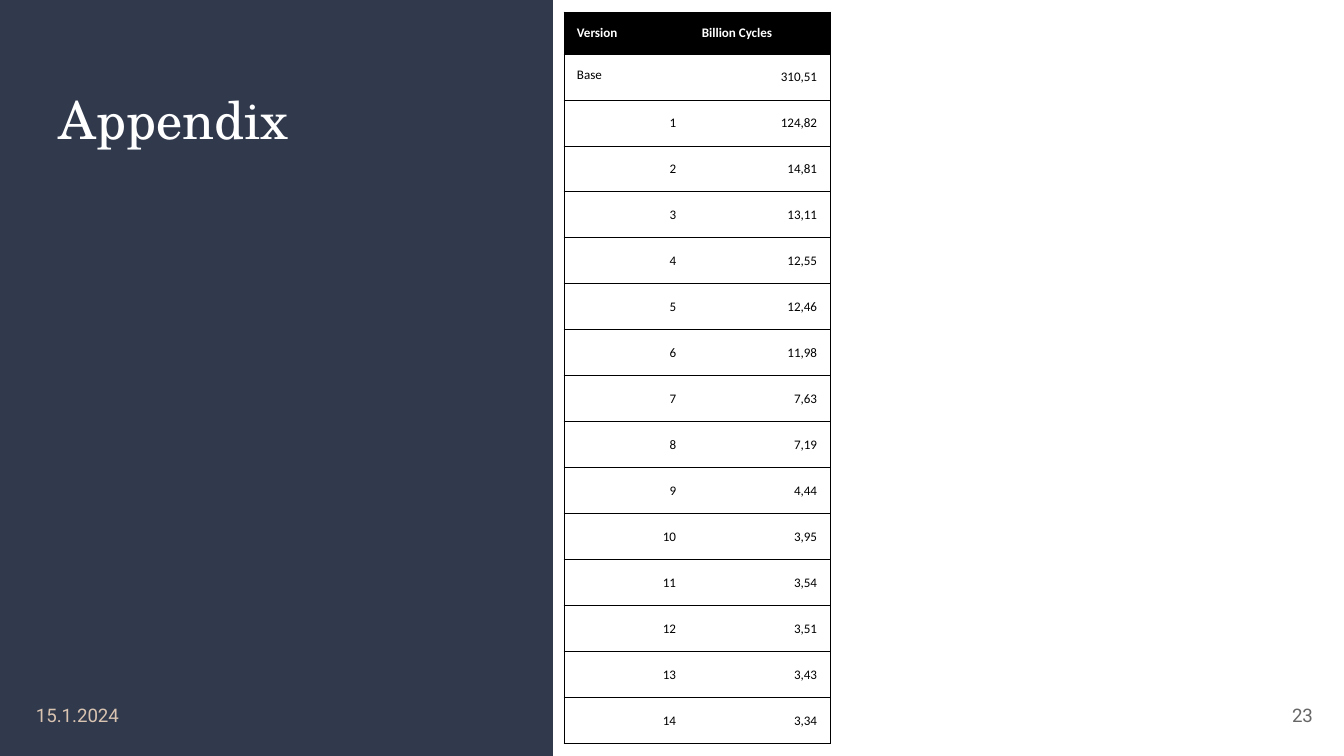
"""Build an appendix slide with a table of cycle counts per version."""
from lxml import etree
from pptx import Presentation
from pptx.dml.color import RGBColor
from pptx.enum.shapes import MSO_SHAPE
from pptx.enum.text import MSO_ANCHOR, MSO_AUTO_SIZE, PP_ALIGN
from pptx.oxml.ns import qn
from pptx.util import Emu, Pt

RECTANGLE = MSO_SHAPE.RECTANGLE
TOP, MIDDLE = MSO_ANCHOR.TOP, MSO_ANCHOR.MIDDLE
LEFT, RIGHT = PP_ALIGN.LEFT, PP_ALIGN.RIGHT
NO_AUTOFIT = MSO_AUTO_SIZE.NONE
EMU_PER_PX = 914400 / 134.4
WIDTH, HEIGHT = 1344, 756
INSET = 13
TITLE_ONLY = 5
COLORS = {"panel": "31394D", "white": "FFFFFF", "black": "000000",
          "date": "D9C4B1", "number": "666666"}
HEADINGS = ["Version", "Billion Cycles"]
CYCLES = ["310,51", "124,82", "14,81", "13,11", "12,55", "12,46", "11,98", "7,63",
          "7,19", "4,44", "3,95", "3,54", "3,51", "3,43", "3,34"]


def px(length):
    return Emu(round(length * EMU_PER_PX))


def color(name):
    return RGBColor.from_string(COLORS[name])


def write(frame, text, *, size, font, fill, bold=False, align=LEFT, spacing=1.0):
    para = frame.paragraphs[0]
    para.alignment = align
    para.line_spacing = spacing
    span = para.add_run()
    span.text = text
    span.font.size = Pt(size)
    span.font.name = font
    span.font.bold = bold
    span.font.color.rgb = color(fill)


def set_border(cell, side, visible):
    line = etree.SubElement(cell._tc.get_or_add_tcPr(), qn(f"a:ln{side}"), w=str(Pt(0.5)))
    if visible:
        solid = etree.SubElement(line, qn("a:solidFill"))
        etree.SubElement(solid, qn("a:srgbClr"), val=COLORS["black"])
    else:
        etree.SubElement(line, qn("a:noFill"))


class SlideBuilder:
    def __init__(self, deck):
        self.heading_font, self.table_font, self.footer_font = "TeX Gyre Schola", "Calibri", "Roboto"
        self.page = deck.slides.add_slide(deck.slide_layouts[TITLE_ONLY])

    def prepare(self, frame, anchor):
        frame.word_wrap = True
        frame.auto_size = NO_AUTOFIT
        frame.vertical_anchor = anchor
        frame.margin_left = frame.margin_right = px(INSET)
        frame.margin_top = frame.margin_bottom = px(INSET)

    def panel(self, left, top, width, height):
        box = self.page.shapes.add_shape(RECTANGLE, px(left), px(top), px(width), px(height))
        box.shadow.inherit = False
        box.fill.solid()
        box.fill.fore_color.rgb = color("panel")
        box.line.fill.background()

    def title(self, text, left, top, width, height):
        box = self.page.shapes.title
        box.left, box.top, box.width, box.height = map(px, (left, top, width, height))
        self.prepare(box.text_frame, TOP)
        write(box.text_frame, text, size=28, font=self.heading_font, fill="white")
        self.page.shapes._spTree.append(box._element)

    def footer(self, text, left, top, width, height, fill, align=LEFT):
        box = self.page.shapes.add_textbox(px(left), px(top), px(width), px(height))
        self.prepare(box.text_frame, MIDDLE)
        write(box.text_frame, text, size=10, font=self.footer_font, fill=fill, align=align)

    def table(self, rows, left, top, widths, heights):
        frame = self.page.shapes.add_table(len(rows), len(widths), px(left), px(top),
                                           px(sum(widths)), px(sum(heights)))
        grid = frame.table
        for column, width in zip(grid.columns, widths):
            column.width = px(width)
        for row, height in zip(grid.rows, heights):
            row.height = px(height)
        for row_index, texts in enumerate(rows):
            for column_index, text in enumerate(texts):
                self.cell(grid.cell(row_index, column_index), text, row_index == 0,
                          column_index == 0, column_index == len(widths) - 1)

    def cell(self, cell, text, header, first, last):
        for side, visible in (("L", first), ("R", last), ("T", True), ("B", True)):
            set_border(cell, side, visible)
        if header:
            cell.fill.solid()
            cell.fill.fore_color.rgb = color("black")
        else:
            cell.fill.background()
        cell.vertical_anchor = TOP
        cell.margin_left = cell.margin_right = px(INSET)
        cell.margin_top = cell.margin_bottom = px(INSET)
        numeric = text[0].isdigit()
        write(cell.text_frame, text, size=7, font=self.table_font, bold=header,
              fill="white" if header else "black",
              align=RIGHT if numeric else LEFT, spacing=1.15 if numeric else 1.0)


def main():
    deck = Presentation()
    deck.slide_width, deck.slide_height = px(WIDTH), px(HEIGHT)
    slide = SlideBuilder(deck)
    slide.panel(0, 0, 553, HEIGHT)
    slide.footer("15.1.2024", 23, 695, 133, 40, "date")
    slide.title("Appendix", 46, 74, 460, 134)
    slide.footer("23", 1186, 686, 140, 58, "number", RIGHT)
    versions = ["Base", *map(str, range(1, len(CYCLES)))]
    rows = [HEADINGS, *zip(versions, CYCLES)]
    slide.table(rows, 564, 12, [125, 141], [42] + [46] * len(CYCLES))
    deck.save("out.pptx")


if __name__ == "__main__":
    main()
